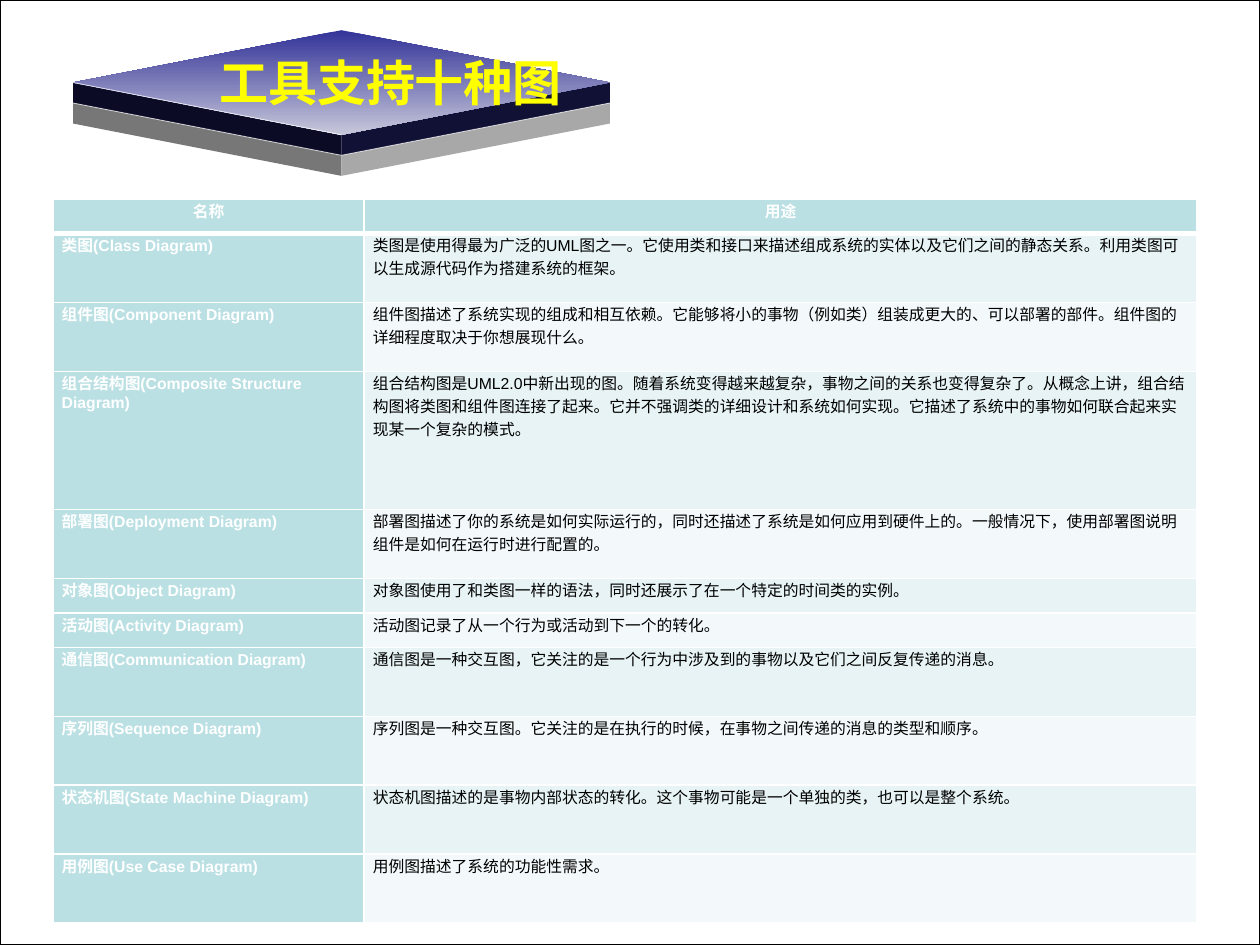
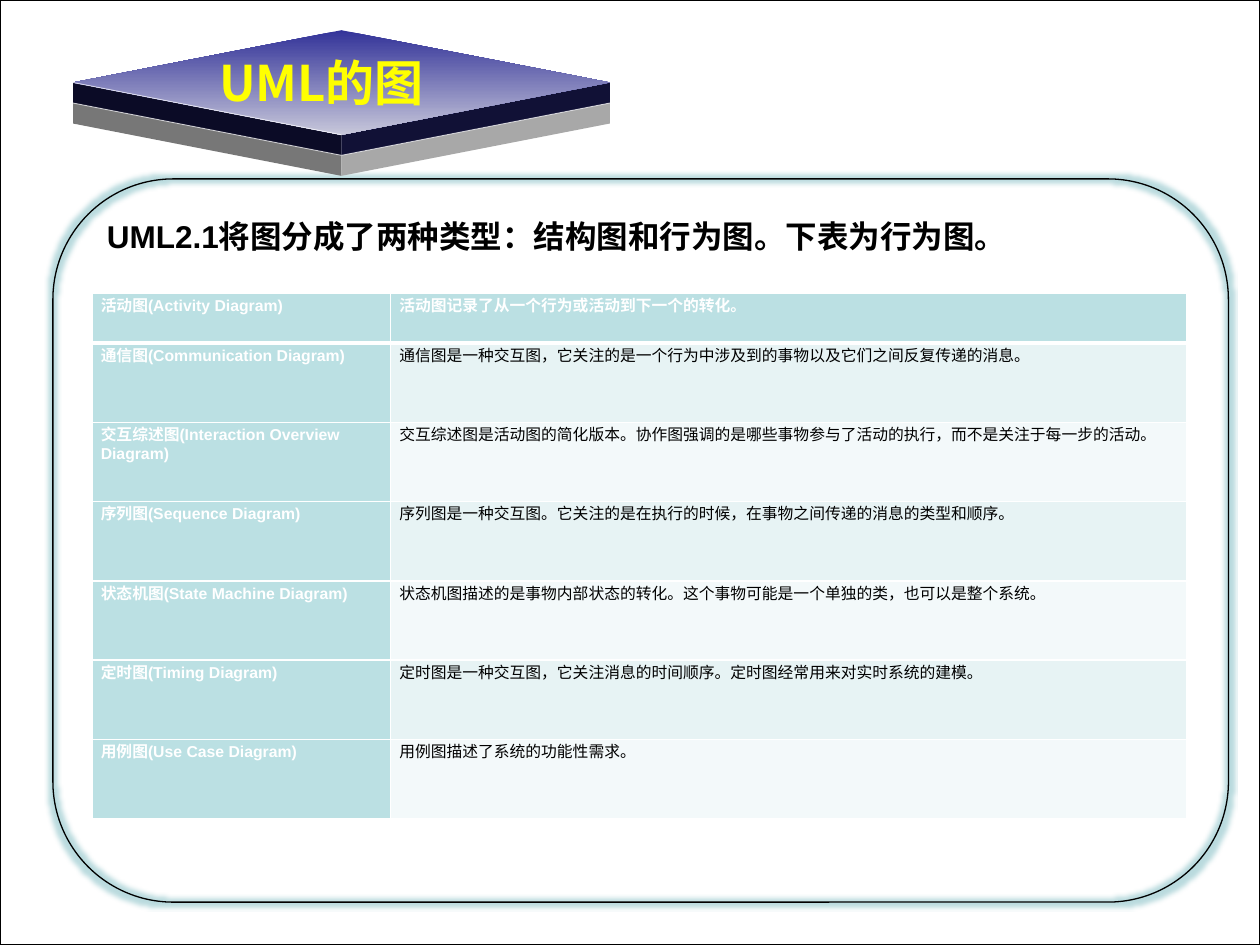
from dataclasses import dataclass
from typing import NamedTuple

from lxml import etree
from pptx import Presentation
from pptx.dml.color import RGBColor
from pptx.enum.shapes import MSO_CONNECTOR, MSO_SHAPE
from pptx.enum.text import MSO_ANCHOR, PP_ALIGN
from pptx.oxml.ns import qn
from pptx.util import Emu, Inches, Pt

# The slide is a grid of 100 columns and 75 rows of square cells.
COLUMNS, ROWS = 100, 75
CELL = Inches(10) // COLUMNS

BODY_FONT, TITLE_FONT = "Arial", "Noto Sans CJK SC"
BLACK = RGBColor(0x00, 0x00, 0x00)
WHITE = RGBColor(0xFF, 0xFF, 0xFF)
YELLOW = RGBColor(0xFF, 0xFF, 0x00)
INDIGO = RGBColor(0x33, 0x33, 0x99)
LAVENDER = RGBColor(0xC7, 0xC7, 0xDA)
NAVY_SHADE = RGBColor(0x0B, 0x0B, 0x26)
NAVY_LIT = RGBColor(0x11, 0x11, 0x36)
GREY_SHADE = RGBColor(0x77, 0x77, 0x77)
GREY_LIT = RGBColor(0xA8, 0xA8, 0xA8)
TEAL = RGBColor(0xBB, 0xE0, 0xE3)
BANDS = RGBColor(0xE7, 0xF3, 0xF4), RGBColor(0xF3, 0xF9, 0xFA)
GLOW = RGBColor(0x9C, 0xCB, 0xD0)


class Box(NamedTuple):
    """Left, top, width and height in grid cells."""
    left: float
    top: float
    width: float
    height: float

    def emu(self) -> list[Emu]:
        return [cells(n) for n in self]


class Entry(NamedTuple):
    name: str
    purpose: str
    span: int


@dataclass
class DiagramTable:
    box: Box
    name_width: float
    entries: list[Entry]
    heading_align: PP_ALIGN


FRAME = Box(0, 0, COLUMNS, ROWS)
PLATE = Box(5.8, 2.4, 42.6, 8.3)
PLATE_DEPTH = 1.63
TITLE_BOX = Box(16.4, 3.5, 31, 6)
PANEL = Box(4.2, 14.2, 93.3, 57.4)
INTRO_BOX = Box(7.5, 16.7, 86, 4)

ACTIVITY = "活动图(Activity Diagram)", "活动图记录了从一个行为或活动到下一个的转化。"
COMMUNICATION = ("通信图(Communication Diagram)",
                 "通信图是一种交互图，它关注的是一个行为中涉及到的事物以及它们之间反复传递的消息。")
SEQUENCE = ("序列图(Sequence Diagram)",
            "序列图是一种交互图。它关注的是在执行的时候，在事物之间传递的消息的类型和顺序。")
STATE_MACHINE = ("状态机图(State Machine Diagram)",
                 "状态机图描述的是事物内部状态的转化。这个事物可能是一个单独的类，也可以是整个系统。")
USE_CASE = "用例图(Use Case Diagram)", "用例图描述了系统的功能性需求。"

SUPPORTED = DiagramTable(Box(4.2, 15.8, 90.8, 57.5), 24.7, [
    Entry("名称", "用途", 1),
    Entry("类图(Class Diagram)",
          "类图是使用得最为广泛的UML图之一。它使用类和接口来描述组成系统的实体以及它们之间的静态关系。"
          "利用类图可以生成源代码作为搭建系统的框架。", 2),
    Entry("组件图(Component Diagram)",
          "组件图描述了系统实现的组成和相互依赖。它能够将小的事物（例如类）组装成更大的、可以部署的部件。"
          "组件图的详细程度取决于你想展现什么。", 2),
    Entry("组合结构图(Composite Structure Diagram)",
          "组合结构图是UML2.0中新出现的图。随着系统变得越来越复杂，事物之间的关系也变得复杂了。"
          "从概念上讲，组合结构图将类图和组件图连接了起来。它并不强调类的详细设计和系统如何实现。"
          "它描述了系统中的事物如何联合起来实现某一个复杂的模式。", 4),
    Entry("部署图(Deployment Diagram)",
          "部署图描述了你的系统是如何实际运行的，同时还描述了系统是如何应用到硬件上的。"
          "一般情况下，使用部署图说明组件是如何在运行时进行配置的。", 2),
    Entry("对象图(Object Diagram)",
          "对象图使用了和类图一样的语法，同时还展示了在一个特定的时间类的实例。", 1),
    Entry(*ACTIVITY, 1),
    Entry(*COMMUNICATION, 2),
    Entry(*SEQUENCE, 2),
    Entry(*STATE_MACHINE, 2),
    Entry(*USE_CASE, 2),
], PP_ALIGN.CENTER)

BEHAVIOUR = DiagramTable(Box(7.3, 23.3, 86.9, 41.7), 23.7, [
    Entry(*ACTIVITY, 5),
    Entry(*COMMUNICATION, 8),
    Entry("交互综述图(Interaction Overview Diagram)",
          "交互综述图是活动图的简化版本。协作图强调的是哪些事物参与了活动的执行，"
          "而不是关注于每一步的活动。", 8),
    Entry(*SEQUENCE, 8),
    Entry(*STATE_MACHINE, 8),
    Entry("定时图(Timing Diagram)",
          "定时图是一种交互图，它关注消息的时间顺序。定时图经常用来对实时系统的建模。", 8),
    Entry(*USE_CASE, 8),
], PP_ALIGN.LEFT)


def cells(count: float) -> Emu:
    return Emu(round(count * CELL))


def set_font(paragraph, name: str, size: float, color: RGBColor, bold: bool) -> None:
    font = paragraph.font
    font.name, font.size, font.bold = name, Pt(size), bold
    font.color.rgb = color


def add_outline(slide, kind: MSO_SHAPE, box: Box):
    """Unfilled shape with a thin black line."""
    outline = slide.shapes.add_shape(kind, *box.emu())
    outline.shadow.inherit = False
    outline.fill.background()
    outline.line.color.rgb = BLACK
    outline.line.width = Pt(0.75)
    return outline


def add_wall(slide, side_x: float, drop: float, color: RGBColor) -> None:
    """One side face of the plate, from an outer corner to the front corner."""
    front_x = PLATE.left + PLATE.width / 2
    side_y = PLATE.top + PLATE.height / 2 + drop
    front_y = PLATE.top + PLATE.height + drop
    corners = [(cells(x), cells(y)) for x, y in (
        (side_x, side_y), (front_x, front_y),
        (front_x, front_y + PLATE_DEPTH), (side_x, side_y + PLATE_DEPTH))]
    builder = slide.shapes.build_freeform(*corners[0])
    builder.add_line_segments(corners[1:])
    wall = builder.convert_to_shape()
    wall.shadow.inherit = False
    wall.fill.solid()
    wall.fill.fore_color.rgb = color
    wall.line.fill.background()


def add_edge(slide, side_x: float, drop: float) -> None:
    """White highlight along the upper edge of a side face."""
    edge = slide.shapes.add_connector(
        MSO_CONNECTOR.STRAIGHT,
        cells(side_x), cells(PLATE.top + PLATE.height / 2 + drop),
        cells(PLATE.left + PLATE.width / 2), cells(PLATE.top + PLATE.height + drop))
    edge.line.color.rgb = WHITE
    edge.line.width = Pt(0.5)
    color = edge.line._ln.find(f".//{qn('a:srgbClr')}")
    etree.SubElement(color, qn("a:alpha"), val="70000")
    etree.SubElement(edge._element.spPr, qn("a:effectLst"))


def add_plate(slide) -> None:
    left, right = PLATE.left, PLATE.left + PLATE.width
    for drop, shade, lit in ((PLATE_DEPTH, GREY_SHADE, GREY_LIT),
                             (0, NAVY_SHADE, NAVY_LIT)):
        add_wall(slide, left, drop, shade)
        add_wall(slide, right, drop, lit)
    top = slide.shapes.add_shape(MSO_SHAPE.DIAMOND, *PLATE.emu())
    top.shadow.inherit = False
    top.line.fill.background()
    top.fill.gradient()
    top.fill.gradient_angle = 270
    for stop, color in zip(top.fill.gradient_stops, (INDIGO, LAVENDER)):
        stop.color.rgb = color
    for side_x, drop in ((left, 0), (left, PLATE_DEPTH), (right, PLATE_DEPTH)):
        add_edge(slide, side_x, drop)


def place_title(slide, text: str) -> None:
    title = slide.shapes.title
    title.left, title.top, title.width, title.height = TITLE_BOX.emu()
    frame = title.text_frame
    frame.text = text
    frame.word_wrap = False
    frame.vertical_anchor = MSO_ANCHOR.MIDDLE
    frame.paragraphs[0].alignment = PP_ALIGN.LEFT
    set_font(frame.paragraphs[0], TITLE_FONT, 28, YELLOW, True)
    title._element.getparent().append(title._element)  # in front of the plate


def add_panel(slide) -> None:
    panel = add_outline(slide, MSO_SHAPE.ROUNDED_RECTANGLE, PANEL)
    effects = panel._element.spPr.find(qn("a:effectLst"))
    glow = etree.SubElement(effects, qn("a:glow"), rad=str(Pt(5)))
    color = etree.SubElement(glow, qn("a:srgbClr"), val=str(GLOW))
    etree.SubElement(color, qn("a:alpha"), val="70000")


def add_intro(slide, text: str) -> None:
    frame = slide.shapes.add_textbox(*INTRO_BOX.emu()).text_frame
    frame.word_wrap = True
    frame.text = text
    set_font(frame.paragraphs[0], BODY_FONT, 18, BLACK, True)


def set_borders(cell, top: float, bottom: float) -> None:
    properties = cell._tc.get_or_add_tcPr()
    for side, width in (("L", 1), ("R", 1), ("T", top), ("B", bottom)):
        line = etree.SubElement(properties, qn(f"a:ln{side}"), w=str(Pt(width)))
        fill = etree.SubElement(line, qn("a:solidFill"))
        etree.SubElement(fill, qn("a:srgbClr"), val=str(WHITE))


def add_diagram_table(slide, diagrams: DiagramTable) -> None:
    entries, box = diagrams.entries, diagrams.box
    table = slide.shapes.add_table(len(entries), 2, *box.emu()).table
    table.columns[0].width = cells(diagrams.name_width)
    table.columns[1].width = cells(box.width - diagrams.name_width)
    row_unit = box.height / sum(entry.span for entry in entries)
    for row, entry in enumerate(entries):
        table.rows[row].height = cells(entry.span * row_unit)
        for column, text in enumerate((entry.name, entry.purpose)):
            heading = row == 0
            emphasised = heading or column == 0
            cell = table.cell(row, column)
            cell.margin_left = cell.margin_right = Inches(0.07)
            cell.margin_top = cell.margin_bottom = 0
            set_borders(cell, 3 if row == 1 else 1, 3 if heading else 1)
            cell.fill.solid()
            cell.fill.fore_color.rgb = TEAL if emphasised else BANDS[(row - 1) % 2]
            cell.text = text
            paragraph = cell.text_frame.paragraphs[0]
            paragraph.alignment = diagrams.heading_align if heading else PP_ALIGN.LEFT
            set_font(paragraph, BODY_FONT, 9, WHITE if emphasised else BLACK, emphasised)


def add_diagram_slide(deck, title: str, diagrams: DiagramTable, intro: str = "") -> None:
    slide = deck.slides.add_slide(deck.slide_layouts[5])
    add_outline(slide, MSO_SHAPE.RECTANGLE, FRAME)
    if intro:
        add_panel(slide)
    add_plate(slide)
    place_title(slide, title)
    if intro:
        add_intro(slide, intro)
    add_diagram_table(slide, diagrams)


def main() -> None:
    deck = Presentation()
    deck.slide_width, deck.slide_height = cells(COLUMNS), cells(ROWS)
    add_diagram_slide(deck, "工具支持十种图", SUPPORTED)
    add_diagram_slide(deck, "UML的图", BEHAVIOUR,
                      "UML2.1将图分成了两种类型：结构图和行为图。下表为行为图。")
    deck.save("out.pptx")


if __name__ == "__main__":
    main()
